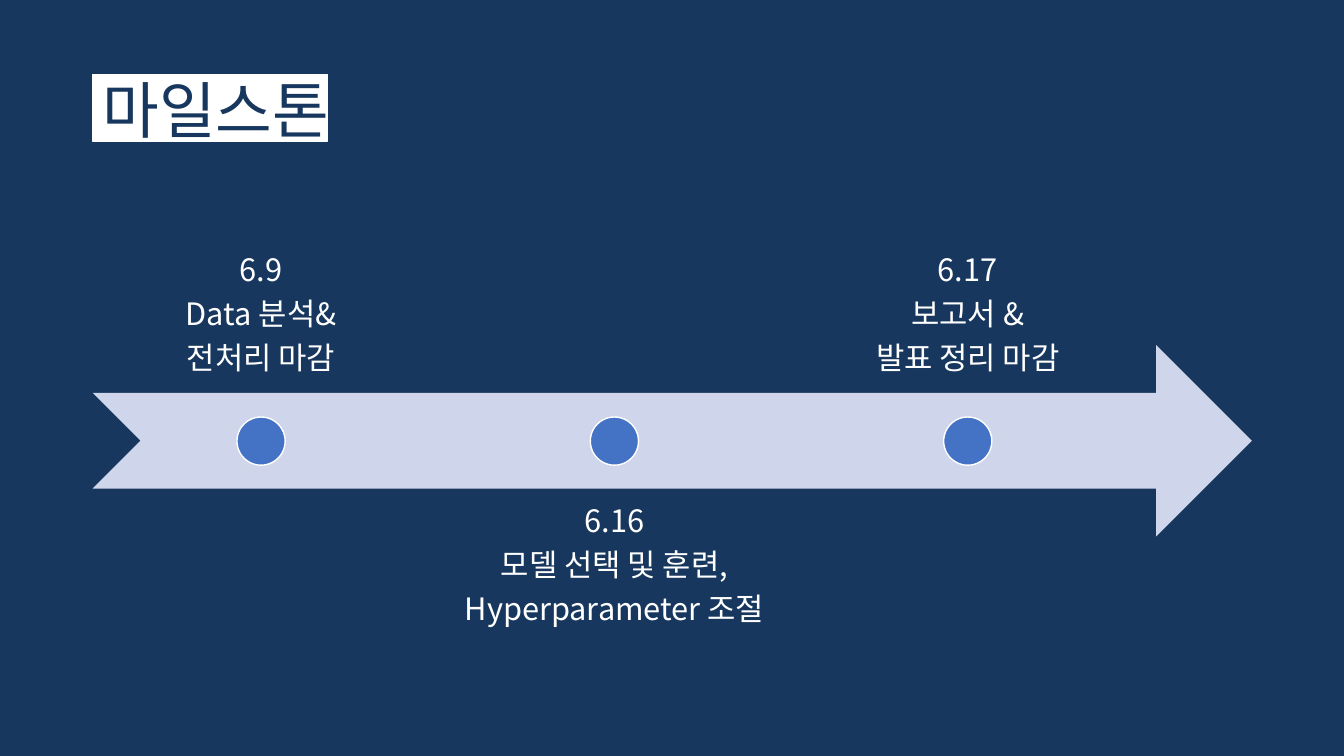
import pptx
import pptx.util
import pptx.dml.color
import pptx.enum.shapes
import pptx.enum.text
import lxml.etree
import pptx.oxml.ns

Pt = pptx.util.Pt
KIND = pptx.enum.shapes.MSO_SHAPE
ALIGN = pptx.enum.text.PP_ALIGN
ANCHOR = pptx.enum.text.MSO_ANCHOR
FONT = "Noto Sans CJK KR"
NAVY, WHITE, PALE, BLUE = "17375E", "FFFFFF", "CFD5EA", "4472C4"
LEFT, WIDE = 66.24, 828
STEP, SPAN, TALL, DOT = 252.4, 240.5, 136.8, 34.4
STOPS = [
    ("6.9", "Data 분석&", "전처리 마감"),
    ("6.16", "모델 선택 및 훈련,", "Hyperparameter 조절"),
    ("6.17", "보고서 &", "발표 정리 마감"),
]


def paint(target, color):
    if hasattr(target, "solid"):
        target.solid()
        target = target.fore_color
    target.rgb = pptx.dml.color.RGBColor.from_string(color)


def add_form(slide, kind, box, color, edge=None):
    form = slide.shapes.add_shape(kind, *map(Pt, box))
    form.shadow.inherit = False
    paint(form.fill, color)
    if edge:
        paint(form.line.color, edge)
        form.line.width = Pt(1)
    else:
        form.line.fill.background()


def add_text(slide, box, lines, size, color, align, anchor, inset, after=0):
    frame = slide.shapes.add_textbox(*map(Pt, box)).text_frame
    frame.word_wrap = True
    frame.vertical_anchor = anchor
    frame.margin_left = frame.margin_right = Pt(inset[0])
    frame.margin_top = frame.margin_bottom = Pt(inset[1])
    frame.text = "\n".join(lines)
    for para in frame.paragraphs:
        para.alignment = align
        para.line_spacing = 0.9
        para.space_after = Pt(after)
        para.font.size = Pt(size)
        para.font.name = FONT
        paint(para.font.color, color)
        east = lxml.etree.SubElement(para.font._rPr, pptx.oxml.ns.qn("a:ea"))
        east.set("typeface", FONT)


def add_stop(slide, index, lines):
    left = LEFT + index * STEP
    below = index % 2
    top = 349.2 if below else 144
    anchor = ANCHOR.TOP if below else ANCHOR.BOTTOM
    add_text(slide, (left, top, SPAN, TALL), lines, 22, WHITE,
             ALIGN.CENTER, anchor, (12.3, 12.3), 7.7)
    mid = left + (SPAN - DOT) / 2
    add_form(slide, KIND.OVAL, (mid, 297.9, DOT, DOT), BLUE, WHITE)


def main():
    deck = pptx.Presentation()
    deck.slide_width, deck.slide_height = Pt(960), Pt(540)
    slide = deck.slides.add_slide(deck.slide_layouts[6])
    paint(slide.background.fill, NAVY)
    add_form(slide, KIND.RECTANGLE, (LEFT, 53.3, 167.8, 47.5), WHITE, WHITE)
    add_text(slide, (LEFT, 28.8, WIDE, 104.4), ["마일스톤"], 44, NAVY,
             ALIGN.LEFT, ANCHOR.MIDDLE, (7.2, 3.6))
    add_form(slide, KIND.NOTCHED_RIGHT_ARROW, (LEFT, 246.4, WIDE, TALL), PALE)
    for index, lines in enumerate(STOPS):
        add_stop(slide, index, lines)
    deck.save("out.pptx")


main()
